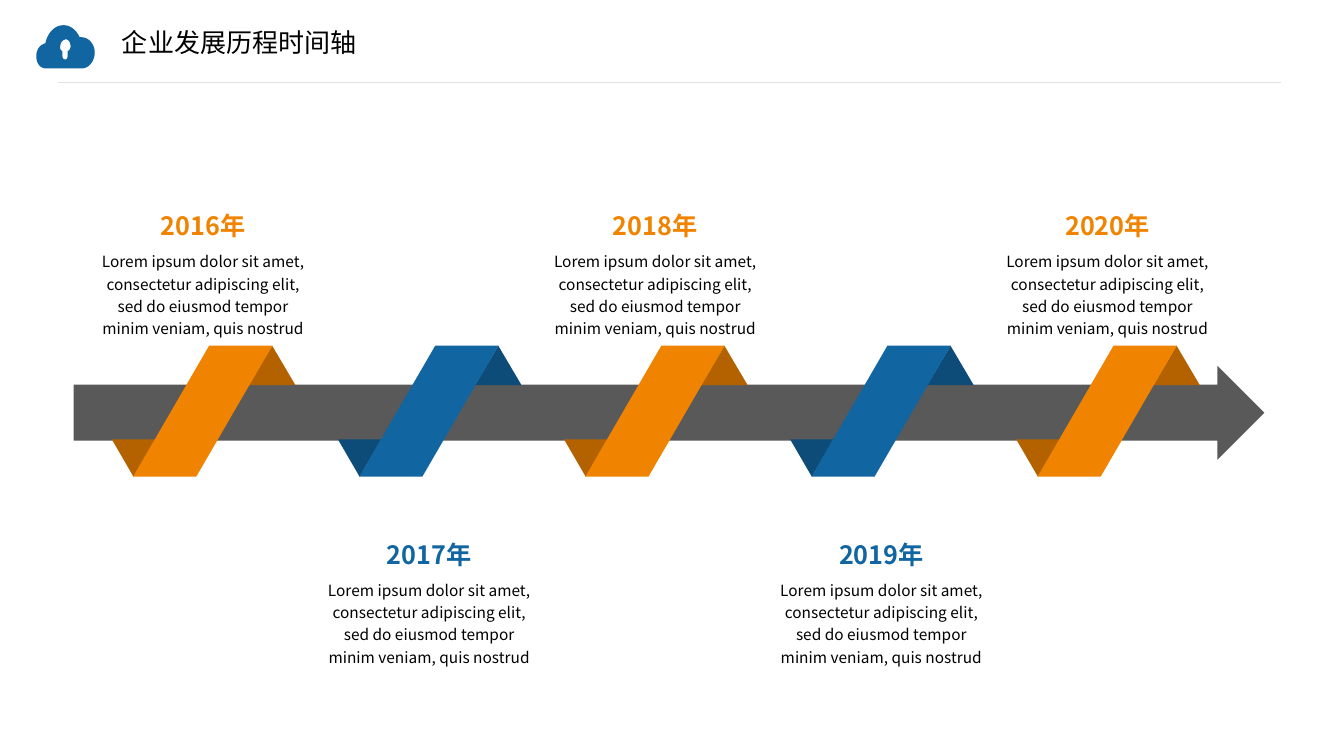
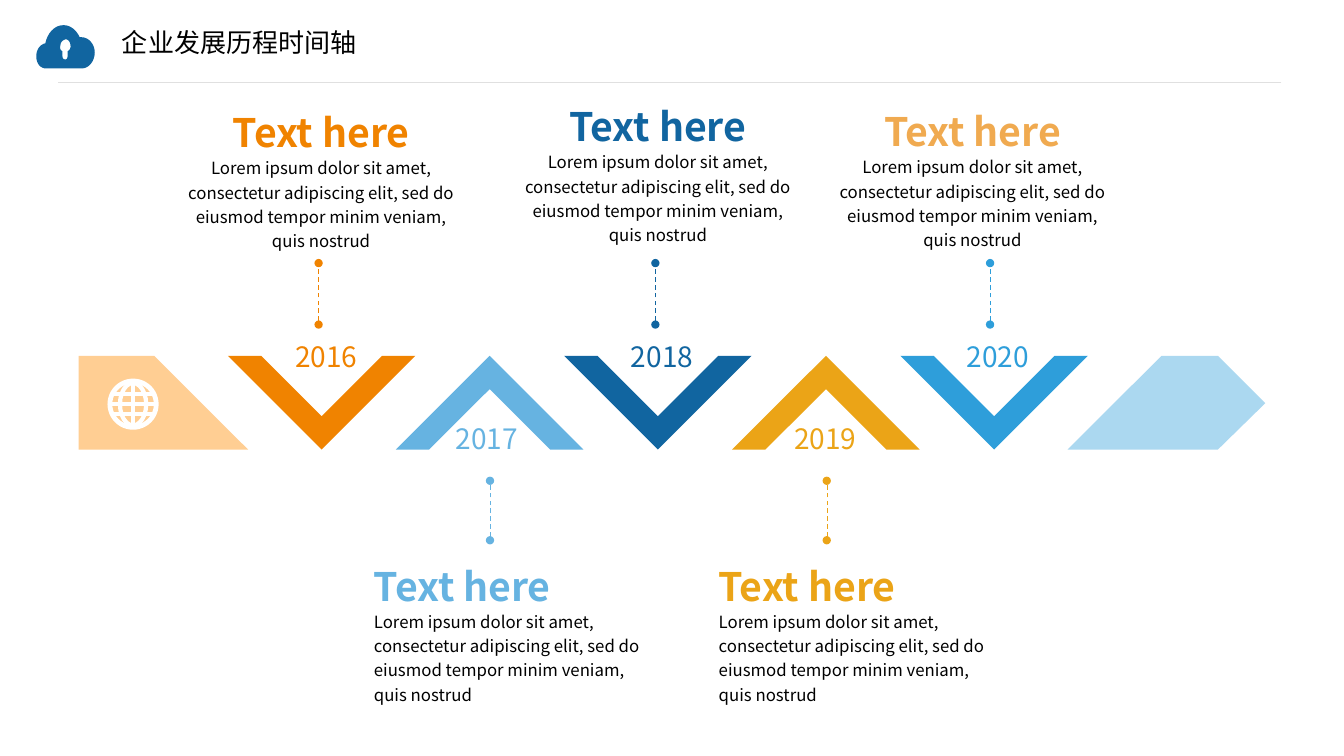
import dataclasses

import lxml.etree
import pptx
import pptx.dml.color
import pptx.enum.shapes
import pptx.enum.text
import pptx.oxml.ns
import pptx.util

Inches = pptx.util.Inches
Pt = pptx.util.Pt
SHAPE = pptx.enum.shapes.MSO_SHAPE
ALIGN = pptx.enum.text.PP_ALIGN
ANCHOR = pptx.enum.text.MSO_ANCHOR
qn = pptx.oxml.ns.qn


@dataclasses.dataclass(frozen=True)
class Theme:
    font: str = "Noto Sans CJK SC"
    black: str = "000000"
    white: str = "FFFFFF"
    rule: str = "E0E0E0"
    gray: str = "595959"
    orange: str = "F08300"
    dark_orange: str = "B46200"
    soft_orange: str = "F0AA50"
    peach: str = "FFCE93"
    gold: str = "EBA417"
    blue: str = "1165A0"
    dark_blue: str = "0D4C78"
    bright_blue: str = "2E9EDA"
    light_blue: str = "66B3E1"
    pale_blue: str = "ABD8F0"
    title_size: float = 18.6
    year_size: float = 18
    body_size: float = 11
    heading_size: float = 28
    detail_size: float = 12
    label_size: float = 20


T = Theme()
TITLE = "企业发展历程时间轴"
LOREM = ("Lorem ipsum dolor sit amet, consectetur adipiscing elit, "
         "sed do eiusmod tempor minim veniam, quis nostrud")

# Contours in inches: two numbers make a line, six make a Bézier curve.
CLOUD = [
    [(.45, .12), (.44, .12, .44, .12, .43, .12), (.40, .05, .34, 0, .27, 0),
     (.18, 0, .11, .08, .09, .18), (.04, .19, 0, .24, 0, .31),
     (0, .38, .04, .43, .10, .43), (.45, .43),
     (.52, .43, .58, .36, .58, .27), (.58, .19, .52, .12, .45, .12)],
    [(.31, .26), (.31, .31), (.31, .33, .30, .34, .29, .34),
     (.27, .34, .26, .33, .26, .31), (.26, .26),
     (.24, .25, .23, .23, .24, .20), (.24, .17, .26, .15, .29, .14),
     (.32, .14, .34, .17, .34, .21), (.34, .23, .33, .25, .31, .26)],
]


def rgb(color):
    return pptx.dml.color.RGBColor.from_string(color)


def write(tf, text, size, color=T.black, bold=False, align=ALIGN.LEFT, spacing=None):
    p = tf.paragraphs[0]
    p.alignment = align
    p.line_spacing = spacing
    r = p.add_run()
    r.text = text
    r.font.name = T.font
    r.font.size = Pt(size)
    r.font.bold = bold
    r.font.color.rgb = rgb(color)
    ea = lxml.etree.SubElement(r._r.get_or_add_rPr(), qn("a:ea"))
    ea.set("typeface", T.font)


def add_text(s, box, text, size, **fmt):
    tf = s.shapes.add_textbox(*map(Inches, box)).text_frame
    tf.word_wrap = True
    write(tf, text, size, **fmt)


def paint(sp, color):
    sp.shadow.inherit = False
    sp.fill.solid()
    sp.fill.fore_color.rgb = rgb(color)
    sp.line.fill.background()
    return sp


def add_shape(s, kind, box, color, adjustments=()):
    sp = paint(s.shapes.add_shape(kind, *map(Inches, box)), color)
    for i, value in enumerate(adjustments):
        sp.adjustments[i] = value
    return sp


def add_line(s, start, end, color, width):
    sp = s.shapes.add_connector(pptx.enum.shapes.MSO_CONNECTOR.STRAIGHT,
                                *map(Inches, start + end))
    sp.line.color.rgb = rgb(color)
    sp.line.width = Pt(width)
    lxml.etree.SubElement(sp._element.spPr, qn("a:effectLst"))
    return sp


def flatten(contour, steps=8):
    """Turn the curves of a contour into short straight segments."""
    points = [contour[0]]
    for seg in contour[1:]:
        if len(seg) == 2:
            points.append(seg)
            continue
        ctrl = [points[-1], seg[:2], seg[2:4], seg[4:]]
        for k in range(1, steps + 1):
            t = k / steps
            weights = ((1 - t) ** 3, 3 * t * (1 - t) ** 2,
                       3 * t * t * (1 - t), t ** 3)
            points.append(tuple(sum(w * c[axis] for w, c in zip(weights, ctrl))
                                for axis in (0, 1)))
    return points


def add_outline(s, x, y, contours, color):
    """Draw contours placed from x, y; an inner contour cuts a hole."""
    builder = None
    for contour in contours:
        points = [(Inches(x + px), Inches(y + py)) for px, py in flatten(contour)]
        if builder is None:
            builder = s.shapes.build_freeform(*points[0], scale=1.0)
        else:
            builder.move_to(*points[0])
        builder.add_line_segments(points[1:], close=True)
    return paint(builder.convert_to_shape(), color)


def add_titled_slide(prs):
    s = prs.slides.add_slide(prs.slide_layouts[5])
    add_line(s, (12.71, .82), (.58, .82), T.rule, .75)
    add_outline(s, .36, .25, CLOUD, T.blue)
    sp = s.shapes.title
    sp.left, sp.top, sp.width, sp.height = map(Inches, (1.21, .16, 8.89, .52))
    tf = sp.text_frame
    tf.margin_left = tf.margin_top = tf.margin_right = tf.margin_bottom = 0
    tf.vertical_anchor = ANCHOR.MIDDLE
    tf.auto_size = pptx.enum.text.MSO_AUTO_SIZE.NONE
    write(tf, TITLE, T.title_size)
    return s


def add_caption(s, x, y, width, heading, color, heading_height, heading_size,
                body_size, align=ALIGN.CENTER):
    add_text(s, (x, y + heading_height, width, .61), LOREM, body_size,
             align=align, spacing=1.2)
    add_text(s, (x, y, width, heading_height), heading, heading_size,
             color=color, bold=True, align=align)


def add_ribbon(s, x, y, color, fold_color):
    add_shape(s, SHAPE.ISOSCELES_TRIANGLE, (x + 1.36, y, .46, .39), fold_color)
    add_shape(s, SHAPE.FLOWCHART_MERGE, (x, y + .93, .43, .37), fold_color)
    add_shape(s, SHAPE.PARALLELOGRAM, (x + .21, y, 1.38, 1.3), color, [.58])


def add_ribbon_timeline(s, x, y):
    """Wrap five ribbons round an arrow whose box starts at x, y."""
    add_shape(s, SHAPE.RIGHT_ARROW, (x, y, 11.81, .93), T.gray, [.597, .5])
    pitch = 8.97 / 4
    for i in range(5):
        above = i % 2 == 0
        color, fold = (T.orange, T.dark_orange) if above else (T.blue, T.dark_blue)
        left = x + i * pitch
        add_ribbon(s, left + .38, y - .2, color, fold)
        add_caption(s, left + .1, y + (-1.59 if above else 1.67), 2.37,
                    f"{2016 + i}年", color, .38, T.year_size, T.body_size)


def add_globe(s, x, y, size):
    def ring(left, top, width, height, weight):
        sp = add_shape(s, SHAPE.OVAL, (left, top, width, height), T.peach)
        sp.fill.background()
        sp.line.color.rgb = rgb(T.white)
        sp.line.width = Pt(weight)

    mid = x + size / 2
    ring(x + .02, y + .02, size - .04, size - .04, 3.4)
    ring(mid - .13, y + .04, .26, size - .08, 3)
    add_line(s, (mid, y), (mid, y + size), T.white, 3.4)
    for offset, half in ((-.1, .2), (0, .23), (.1, .2)):
        level = y + size / 2 + offset
        add_line(s, (mid - half, level), (mid + half, level), T.white, 3)


def add_chevron(s, x, y, color, points_down):
    outline = [(0, 0), (.33, 0), (.93, .6), (1.53, 0), (1.86, 0), (.93, .93)]
    if not points_down:
        outline = [(px, .93 - py) for px, py in outline]
    add_outline(s, x, y, [outline], color)


def add_stem(s, x, start_y, end_y, color):
    """Draw a dashed hairline with a dot at each end."""
    sp = add_line(s, (x, start_y), (x, end_y), color, .25)
    ln = sp.line._get_or_add_ln()
    dashes = lxml.etree.SubElement(ln, qn("a:custDash"))
    dash = lxml.etree.SubElement(dashes, qn("a:ds"))
    dash.set("d", "1300000")
    dash.set("sp", "900000")
    for tag in ("a:headEnd", "a:tailEnd"):
        lxml.etree.SubElement(ln, qn(tag)).set("type", "oval")


@dataclasses.dataclass(frozen=True)
class Milestone:
    """A year on the band; lengths are offsets from the band's corner."""
    color: str
    label_x: float
    stem_x: float
    caption_x: float
    caption_y: float
    heading_color: str


MILESTONES = [
    Milestone(T.orange, 2.05, 2.38, .9, -2.5, T.orange),
    Milestone(T.light_blue, 3.64, 4.08, 2.83, 2, T.light_blue),
    Milestone(T.blue, 5.38, 5.72, 4.24, -2.56, T.blue),
    Milestone(T.gold, 7, 7.42, 6.25, 2, T.gold),
    Milestone(T.bright_blue, 8.71, 9.04, 7.36, -2.51, T.soft_orange),
]


def add_chevron_timeline(s, x, y):
    """Lay out the band from x, y, with captions above and below it."""
    add_outline(s, x, y, [[(0, 0), (0, .93), (1.68, .93), (.75, 0)]], T.peach)
    add_globe(s, x + .29, y + .23, .5)
    add_outline(s, x + 9.81, y, [[(.93, 0), (1.49, 0), (1.96, .47), (1.49, .93),
                                  (0, .93)]], T.pale_blue)
    pitch = 6.67 / 4
    for i, m in enumerate(MILESTONES):
        above = i % 2 == 0
        add_chevron(s, x + 1.48 + i * pitch, y, m.color, above)
        add_text(s, (x + m.label_x, y + (-.21 if above else .6), .9, .64),
                 str(2016 + i), T.label_size, color=m.color)
        start, end = (-.31, -.92) if above else (1.83, 1.24)
        add_stem(s, x + m.stem_x, y + start, y + end, m.color)
        add_caption(s, x + m.caption_x, y + m.caption_y, 3.01, "Text here",
                    m.heading_color, .45, T.heading_size, T.detail_size,
                    ALIGN.CENTER if above else ALIGN.LEFT)


def main():
    prs = pptx.Presentation()
    prs.slide_width, prs.slide_height = Inches(13.33), Inches(7.5)
    add_ribbon_timeline(add_titled_slide(prs), .73, 3.63)
    add_chevron_timeline(add_titled_slide(prs), .78, 3.53)
    prs.save("out.pptx")


if __name__ == "__main__":
    main()
